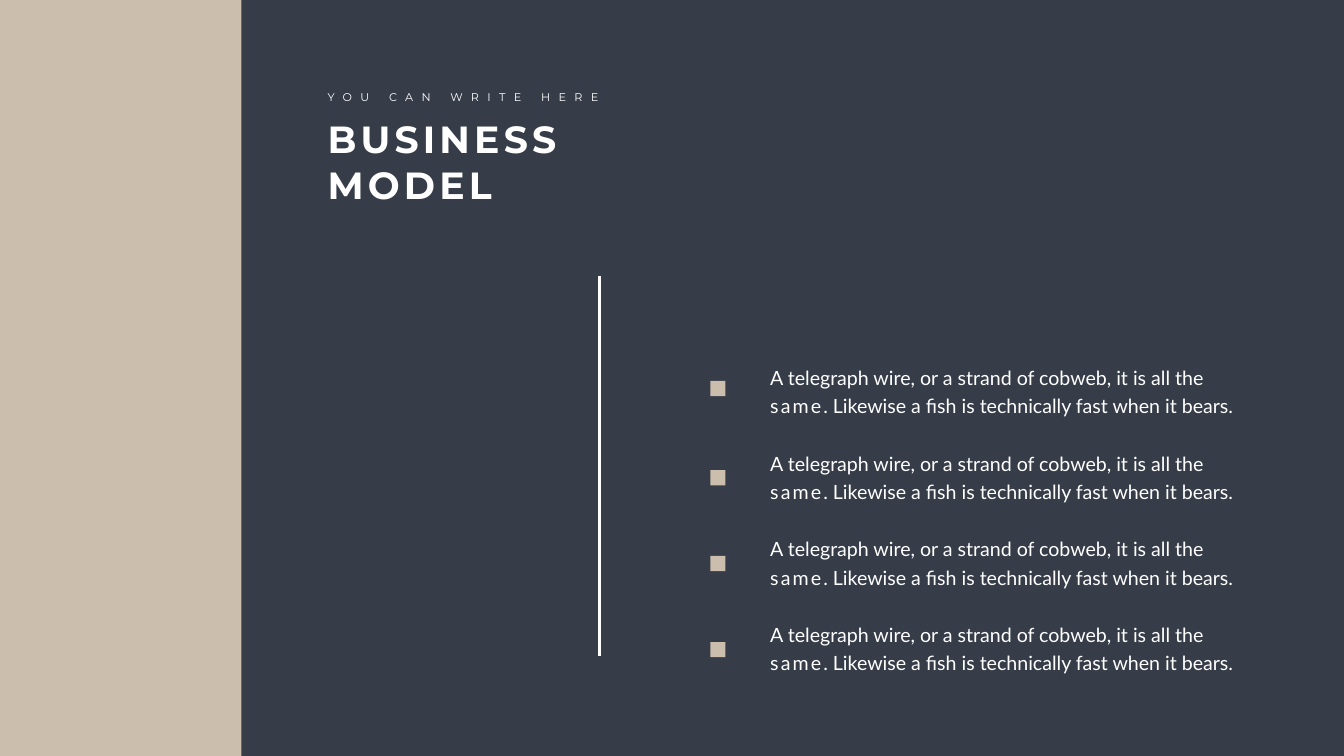
"""Build the business model slide with a side panel, a divider and four points."""
from dataclasses import dataclass

from lxml.etree import SubElement
from pptx import Presentation
from pptx.dml.color import RGBColor as Rgb
from pptx.enum.shapes import MSO_CONNECTOR as Connector
from pptx.enum.shapes import MSO_SHAPE as Shape
from pptx.oxml.ns import qn
from pptx.util import Pt

COLORS = {"night": "363D48", "sand": "CCBEAC", "white": "FFFFFF"}
MARKER_LEFT, MARKER_SIZE = 1014.5, 21.6
MARKER_TOPS = (544.3, 671.8, 794.2, 917.3)
LINE_HEIGHT = 40.8


@dataclass(frozen=True)
class Block:
    left: float
    top: float
    width: float
    height: float


@dataclass(frozen=True)
class Span:
    text: str
    spacing: float = 0


@dataclass(frozen=True)
class TextStyle:
    font: str
    size: float
    bold: bool = False
    line_height: float | None = None
    gap: float = 0
    wrap: bool = True


PANEL = Block(0, 0, 344.9, 1080)
TITLE = Block(460.8, 162, 416.2, 138.2)
EYEBROW = Block(460.8, 125.3, 416.2, 26.6)
POINTS = Block(1093, 511.9, 681.8, 458.6)

TITLE_STYLE = TextStyle("Montserrat", 54, bold=True)
EYEBROW_STYLE = TextStyle("Montserrat", 16, wrap=False)
POINT_STYLE = TextStyle("Lato", 28, line_height=LINE_HEIGHT, gap=LINE_HEIGHT)

POINT = (
    Span("A telegraph wire, or a strand of cobweb, it is all the "),
    Span("same", 3),
    Span(". Likewise a fish is technically fast when it bears."),
)


def color(name: str) -> Rgb:
    """Return the named palette colour."""
    return Rgb.from_string(COLORS[name])


def add_block(page, block: Block) -> None:
    """Draw a plain sand rectangle."""
    shape = page.shapes.add_shape(
        Shape.RECTANGLE, Pt(block.left), Pt(block.top), Pt(block.width), Pt(block.height)
    )
    shape.shadow.inherit = False
    shape.fill.solid()
    shape.fill.fore_color.rgb = color("sand")
    shape.line.fill.background()


def add_text(page, block: Block, style: TextStyle, paras: list[tuple[Span, ...]]) -> None:
    """Write paragraphs of letter-spaced spans in a text box."""
    box = page.shapes.add_textbox(
        Pt(block.left), Pt(block.top), Pt(block.width), Pt(block.height)
    )
    frame = box.text_frame
    frame.word_wrap = style.wrap
    for index, spans in enumerate(paras):
        para = frame.add_paragraph() if index else frame.paragraphs[0]
        if style.line_height:
            para.line_spacing = Pt(style.line_height)
        if index:
            para.space_before = Pt(style.gap)
        for span in spans:
            run = para.add_run()
            run.text = span.text
            run.font.name = style.font
            run.font.size = Pt(style.size)
            run.font.bold = style.bold
            run.font.color.rgb = color("white")
            run.font._element.set("spc", str(round(span.spacing * 100)))


def add_divider(page, left: float, top: float, bottom: float) -> None:
    """Draw the white vertical divider."""
    line = page.shapes.add_connector(
        Connector.STRAIGHT, Pt(left), Pt(top), Pt(left), Pt(bottom)
    )
    line.line.color.rgb = color("white")
    line.line.width = Pt(5)
    SubElement(line._element.spPr, qn("a:effectLst"))


def main() -> None:
    """Assemble and save the deck."""
    deck = Presentation()
    deck.slide_width, deck.slide_height = Pt(1919.52), Pt(1080)
    page = deck.slides.add_slide(deck.slide_layouts[6])
    page.background.fill.solid()
    page.background.fill.fore_color.rgb = color("night")

    add_block(page, PANEL)
    add_text(page, TITLE, TITLE_STYLE, [(Span("BUSINESS MODEL", 6),)])
    add_text(page, EYEBROW, EYEBROW_STYLE, [(Span("YOU CAN WRITE HERE", 12),)])
    add_text(page, POINTS, POINT_STYLE, [POINT] * len(MARKER_TOPS))
    for top in MARKER_TOPS:
        add_block(page, Block(MARKER_LEFT, top, MARKER_SIZE, MARKER_SIZE))
    add_divider(page, 856.1, 393.8, 937.4)
    deck.save("out.pptx")


if __name__ == "__main__":
    main()
